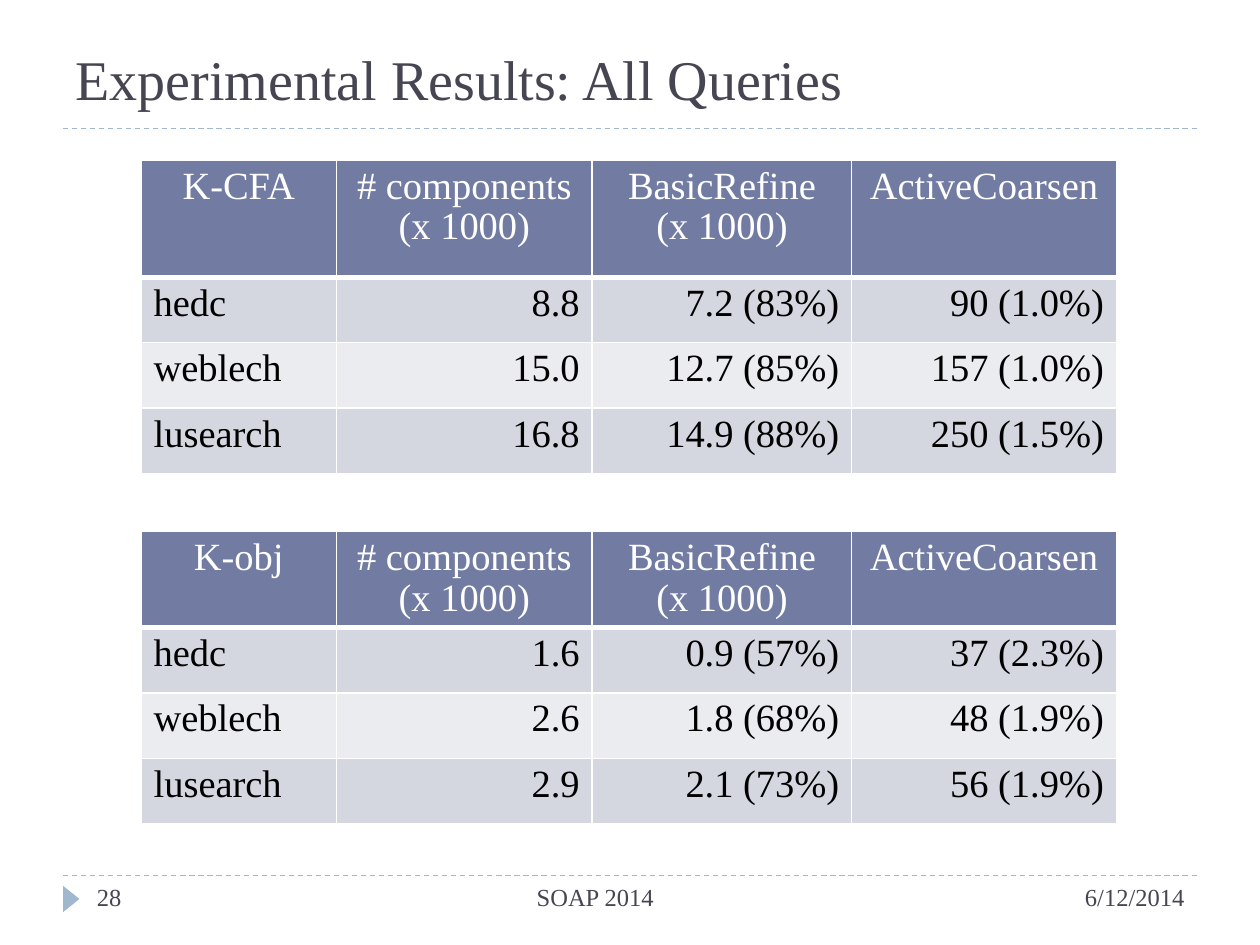
"""Builds the experimental results slide with its two query tables."""
from pptx import Presentation, util as u
from pptx.dml.color import RGBColor
from pptx.enum import dml, shapes, text
from pptx.oxml.ns import qn
from lxml import etree

THEME = {
    "font": "Times New Roman", "ink": "464653", "rule": "9FB8CD",
    "head": "727CA3", "bands": ("D5D7E0", "EBECF0"),
    "white": "FFFFFF", "black": "000000",
    "title": 32, "cell": 22, "footer": 14,
}
TITLE = "Experimental Results: All Queries"
HEADINGS = ["# components\n(x 1000)", "BasicRefine\n(x 1000)", "ActiveCoarsen"]
TABLES = [
    {"top": 1.27, "head_height": 0.93, "rows": [
        ["K-CFA", *HEADINGS],
        ["hedc", "8.8", "7.2 (83%)", "90 (1.0%)"],
        ["weblech", "15.0", "12.7 (85%)", "157 (1.0%)"],
        ["lusearch", "16.8", "14.9 (88%)", "250 (1.5%)"]]},
    {"top": 4.22, "head_height": 0.76, "rows": [
        ["K-obj", *HEADINGS],
        ["hedc", "1.6", "0.9 (57%)", "37 (2.3%)"],
        ["weblech", "2.6", "1.8 (68%)", "48 (1.9%)"],
        ["lusearch", "2.9", "2.1 (73%)", "56 (1.9%)"]]},
]
COLUMNS = [1.55, 2.03, 2.06, 2.1]
TABLE_LEFT, ROW_HEIGHT = 1.12, 0.52
RULES = [1.02, 6.95]
LEFT, CENTER, RIGHT = (text.PP_ALIGN.LEFT, text.PP_ALIGN.CENTER,
                       text.PP_ALIGN.RIGHT)
FOOTERS = [("6/12/2014", 7, 2.5, RIGHT), ("28", 0.67, 0.89, LEFT),
           ("SOAP 2014", 1.56, 6.33, CENTER)]


def rgb(name):
    return RGBColor.from_string(THEME.get(name, name))


def style(p, size, color, align):
    p.alignment = align
    p.font.name, p.font.size = THEME["font"], u.Pt(THEME[size])
    p.font.color.rgb = rgb(color)


def add_rule(s, y):
    line = s.shapes.add_connector(shapes.MSO_CONNECTOR.STRAIGHT, u.Inches(0.5),
                                  u.Inches(y), u.Inches(9.5), u.Inches(y))
    line.line.color.rgb, line.line.width = rgb("rule"), u.Pt(0.75)
    line.line.dash_style = dml.MSO_LINE.DASH
    etree.SubElement(line._element.spPr, qn("a:effectLst"))


def set_borders(cell, widths):
    tcPr = cell._tc.get_or_add_tcPr()
    for i, (side, width) in enumerate(widths.items()):
        ln = etree.Element(qn(f"a:ln{side}"), w=str(u.Pt(width)))
        fill = etree.SubElement(ln, qn("a:solidFill"))
        etree.SubElement(fill, qn("a:srgbClr"), val=THEME["white"])
        tcPr.insert(i, ln)


def add_results(s, top, head_height, rows):
    heights = [head_height] + [ROW_HEIGHT] * (len(rows) - 1)
    table = s.shapes.add_table(
        len(rows), len(COLUMNS), u.Inches(TABLE_LEFT), u.Inches(top),
        u.Inches(sum(COLUMNS)), u.Inches(sum(heights))).table
    for column, width in zip(table.columns, COLUMNS):
        column.width = u.Inches(width)
    for i, values in enumerate(rows):
        table.rows[i].height = u.Inches(heights[i])
        for j, value in enumerate(values):
            cell = table.cell(i, j)
            p = cell.text_frame.paragraphs[0]
            p.text = value
            p.line_spacing = 0.96
            if i == 0:
                style(p, "cell", "white", CENTER)
            else:
                style(p, "cell", "black", RIGHT if j else LEFT)
            cell.fill.solid()
            cell.fill.fore_color.rgb = rgb(
                THEME["bands"][(i - 1) % 2] if i else "head")
            set_borders(cell, {"L": 1, "R": 1, "T": 3 if i == 1 else 1,
                               "B": 3 if i == 0 else 1})


def add_footer(s, value, left, width, align):
    tf = s.shapes.add_textbox(u.Inches(left), u.Inches(6.95), u.Inches(width),
                              u.Inches(0.4)).text_frame
    tf.word_wrap = True
    tf.text = value
    style(tf.paragraphs[0], "footer", "ink", align)


def main():
    prs = Presentation()
    prs.slide_width, prs.slide_height = u.Inches(10), u.Inches(7.5)
    s = prs.slides.add_slide(prs.slide_layouts[5])
    for y in RULES:
        add_rule(s, y)
    marker = s.shapes.add_shape(
        shapes.MSO_SHAPE.ISOSCELES_TRIANGLE, u.Inches(0.46), u.Inches(7.07),
        u.Inches(0.21), u.Inches(0.13))
    marker.rotation = 90
    marker.shadow.inherit = False
    marker.fill.solid()
    marker.fill.fore_color.rgb = rgb("rule")
    marker.line.fill.background()

    title = s.shapes.title
    title.left, title.top = u.Inches(0.5), u.Inches(0.17)
    title.width, title.height = u.Inches(9), u.Inches(0.77)
    tf = title.text_frame
    tf.text = TITLE
    tf.vertical_anchor = text.MSO_ANCHOR.BOTTOM
    style(tf.paragraphs[0], "title", "ink", LEFT)

    for results in TABLES:
        add_results(s, **results)
    for footer in FOOTERS:
        add_footer(s, *footer)
    prs.save("out.pptx")


if __name__ == "__main__":
    main()
